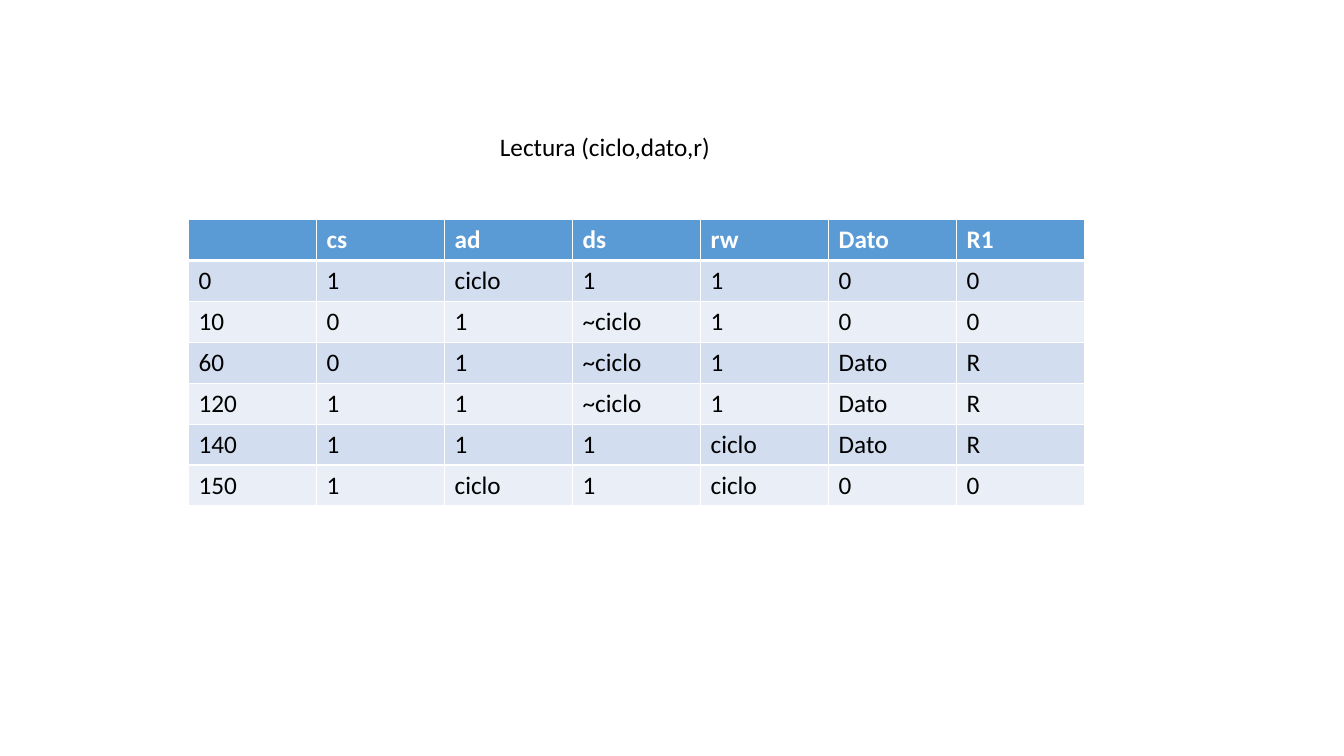
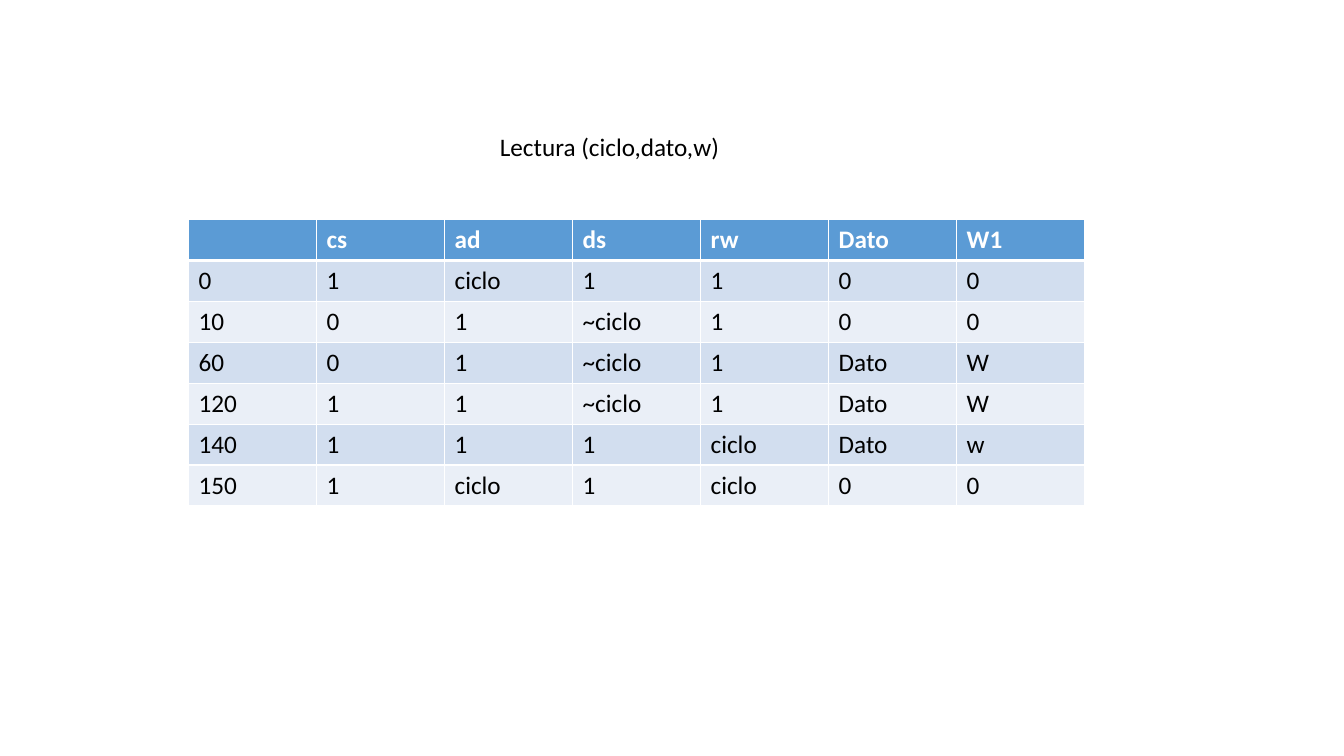
from dataclasses import dataclass

from lxml.etree import SubElement
from pptx import Presentation
from pptx.dml.color import RGBColor as Color
from pptx.enum.text import MSO_AUTO_SIZE as AutoSize
from pptx.oxml.ns import qn
from pptx.util import Inches, Pt


@dataclass(frozen=True)
class Theme:
    font: str = "Calibri"
    text_size: int = 18
    text: str = "000000"
    header_text: str = "FFFFFF"
    header_fill: str = "5B9BD5"
    band_fills: tuple = ("D2DEEF", "EAEFF7")
    border: str = "FFFFFF"
    border_width: int = 1
    header_rule_width: int = 3


THEME = Theme()
TABLE_BOX = (1.87, 2.18, 8.89, 2.84)


def add_run(paragraph, text, color, bold=False):
    run = paragraph.add_run()
    run.text = text
    run.font.name = THEME.font
    run.font.size = Pt(THEME.text_size)
    run.font.bold = bold
    run.font.color.rgb = Color.from_string(color)


def add_title(slide, text, left, top, width, height):
    box = slide.shapes.add_textbox(*map(Inches, (left, top, width, height)))
    frame = box.text_frame
    frame.word_wrap = False
    frame.auto_size = AutoSize.SHAPE_TO_FIT_TEXT
    add_run(frame.paragraphs[0], text, THEME.text)


def set_borders(cell, top, bottom):
    """Draw the four cell borders; top and bottom are widths in points."""
    properties = cell._tc.get_or_add_tcPr()
    side = THEME.border_width
    widths = {"a:lnL": side, "a:lnR": side, "a:lnT": top, "a:lnB": bottom}
    for tag, width in widths.items():
        line = SubElement(properties, qn(tag), w=str(Pt(width)))
        fill = SubElement(line, qn("a:solidFill"))
        SubElement(fill, qn("a:srgbClr"), val=THEME.border)


def style_cell(cell, row_index):
    thin, thick = THEME.border_width, THEME.header_rule_width
    set_borders(cell,
                top=thick if row_index == 1 else thin,
                bottom=thick if row_index == 0 else thin)
    fill = THEME.band_fills[(row_index - 1) % 2] if row_index else THEME.header_fill
    cell.fill.solid()
    cell.fill.fore_color.rgb = Color.from_string(fill)


def add_signal_table(slide, rows, left, top, width, height):
    frame = slide.shapes.add_table(
        len(rows), len(rows[0]), *map(Inches, (left, top, width, height)))
    for row_index, row in enumerate(rows):
        is_header = row_index == 0
        color = THEME.header_text if is_header else THEME.text
        for column_index, text in enumerate(row):
            cell = frame.table.cell(row_index, column_index)
            style_cell(cell, row_index)
            if text:
                add_run(cell.text_frame.paragraphs[0], text, color, is_header)


def signal_rows(register_values):
    """Join the signals common to both cycles with the register column."""
    signals = [
        ("", "cs", "ad", "ds", "rw", "Dato"),
        ("0", "1", "ciclo", "1", "1", "0"),
        ("10", "0", "1", "~ciclo", "1", "0"),
        ("60", "0", "1", "~ciclo", "1", "Dato"),
        ("120", "1", "1", "~ciclo", "1", "Dato"),
        ("140", "1", "1", "1", "ciclo", "Dato"),
        ("150", "1", "ciclo", "1", "ciclo", "0"),
    ]
    return [(*row, value) for row, value in zip(signals, register_values)]


def add_cycle_slide(presentation, title, title_width, register_values):
    slide = presentation.slides.add_slide(presentation.slide_layouts[6])
    add_title(slide, title, 4.86, 1.25, title_width, 0.4)
    add_signal_table(slide, signal_rows(register_values), *TABLE_BOX)


def main():
    presentation = Presentation()
    presentation.slide_width = Inches(13.33)
    presentation.slide_height = Inches(7.5)
    add_cycle_slide(presentation, "Lectura (ciclo,dato,r)", 2.31,
                    ("R1", "0", "0", "R", "R", "R", "0"))
    add_cycle_slide(presentation, "Lectura (ciclo,dato,w)", 2.4,
                    ("W1", "0", "0", "W", "W", "w", "0"))
    presentation.save("out.pptx")


if __name__ == "__main__":
    main()
